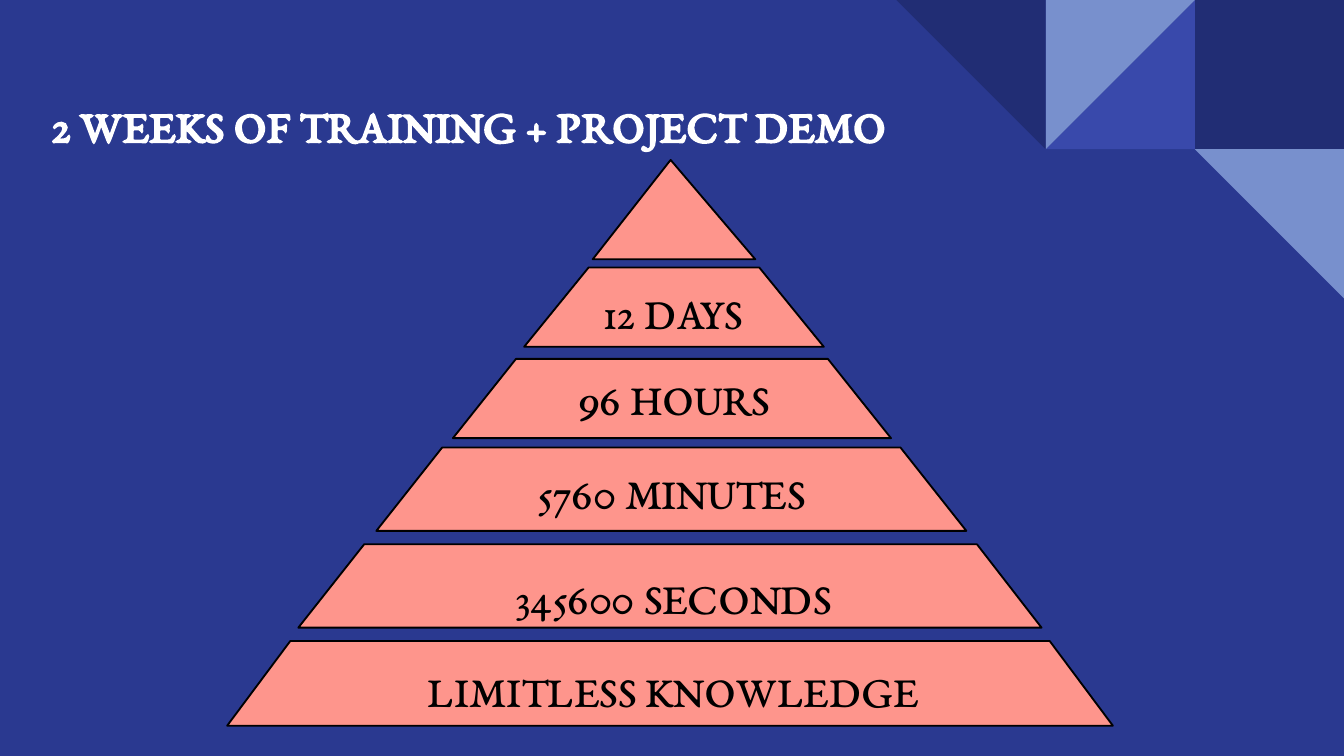
"""Build a slide with a pyramid of training time."""
from pptx import Presentation
from pptx.dml.color import RGBColor
from pptx.enum.shapes import MSO_SHAPE
from pptx.enum.text import MSO_ANCHOR, MSO_AUTO_SIZE, PP_ALIGN
from pptx.util import Inches, Pt

RECT, CORNER = MSO_SHAPE.RECTANGLE, MSO_SHAPE.RIGHT_TRIANGLE
TOP, MIDDLE = MSO_ANCHOR.TOP, MSO_ANCHOR.MIDDLE
LEFT, CENTER = PP_ALIGN.LEFT, PP_ALIGN.CENTER
FIXED, GROW = MSO_AUTO_SIZE.NONE, MSO_AUTO_SIZE.SHAPE_TO_FIT_TEXT
FONT = "EB Garamond"
COLORS = {
    "back": "2A3990", "navy": "212D74", "indigo": "3949AB", "sky": "7890CD",
    "coral": "FE958C", "black": "000000", "white": "FFFFFF",
}


def color(name):
    return RGBColor.from_string(COLORS[name])


def add_text(text, box, size, ink, align, anchor, inset, pitch, fit):
    frame = slide.shapes.add_textbox(*map(Inches, box)).text_frame
    frame.word_wrap = True
    frame.auto_size = fit
    frame.vertical_anchor = anchor
    frame.margin_left = frame.margin_right = Inches(inset)
    frame.margin_top = frame.margin_bottom = Inches(inset)
    para = frame.paragraphs[0]
    para.alignment = align
    para.line_spacing = pitch
    run = para.add_run()
    run.text = text
    run.font.name = FONT
    run.font.size = Pt(size)
    run.font.color.rgb = color(ink)
    return frame


deck = Presentation()
deck.slide_width, deck.slide_height = Inches(10), Inches(10 * 9 / 16)
slide = deck.slides.add_slide(deck.slide_layouts[6])
slide.background.fill.solid()
slide.background.fill.fore_color.rgb = color("back")

side = 1.11
tiles = [
    (RECT, 2, 0, 0, "navy"),
    (CORNER, 1, 0, 270, "indigo"),
    (CORNER, 1, 0, 90, "sky"),
    (CORNER, 0, 0, 180, "navy"),
    (CORNER, 2, 1, 180, "sky"),
]
for kind, col, row, turn, fill in tiles:
    left = 10 - (3 - col) * side
    tile = slide.shapes.add_shape(
        kind, Inches(left), Inches(row * side), Inches(side), Inches(side))
    tile.shadow.inherit = False
    tile.rotation = turn
    tile.fill.solid()
    tile.fill.fore_color.rgb = color(fill)
    tile.line.fill.background()

title = add_text("2 WEEKS OF TRAINING + PROJECT DEMO", (0.38, 0.49, 8.99, 0.92),
                 25, "white", LEFT, MIDDLE, 0, 1.1, FIXED)
title.margin_bottom = Inches(0.1)
title.paragraphs[0].runs[0].font.bold = True

tiers = [
    (1.19, 1.93, 4.99, 4.99, 4.41, 5.62),
    (1.99, 2.58, 4.38, 5.65, 3.9, 6.13),
    (2.67, 3.26, 3.84, 6.16, 3.37, 6.63),
    (3.33, 3.95, 3.29, 6.7, 2.8, 7.19),
    (4.05, 4.67, 2.71, 7.27, 2.22, 7.75),
    (4.77, 5.4, 2.16, 7.81, 1.69, 8.28),
]
for top, base, start, end, left, right in tiers:
    points = [(start, top), (end, top), (right, base)]
    if start == end:
        points.pop(0)
    pen = slide.shapes.build_freeform(Inches(left), Inches(base))
    pen.add_line_segments([(Inches(x), Inches(y)) for x, y in points])
    tier = pen.convert_to_shape()
    tier.shadow.inherit = False
    tier.fill.solid()
    tier.fill.fore_color.rgb = color("coral")
    tier.line.color.rgb = color("black")
    tier.line.width = Pt(1)

labels = [
    ("12 DAYS", (4.14, 2.08, 1.74, 0.48), TOP, 0.04, 1.0),
    ("96 HOURS", (3.94, 2.72, 2.15, 0.48), TOP, 0.04, 1.0),
    ("5760 MINUTES", (3.41, 3.42, 3.18, 0.48), TOP, 0.04, 1.0),
    ("345600 SECONDS", (1.34, 4.22, 7.34, 0.4), MIDDLE, 0, 1.1),
    ("LIMITLESS KNOWLEDGE", (1.34, 4.91, 7.34, 0.4), MIDDLE, 0, 1.1),
]
for text, box, anchor, inset, pitch in labels:
    add_text(text, box, 24, "black", CENTER, anchor, inset, pitch, GROW)

deck.save("out.pptx")
